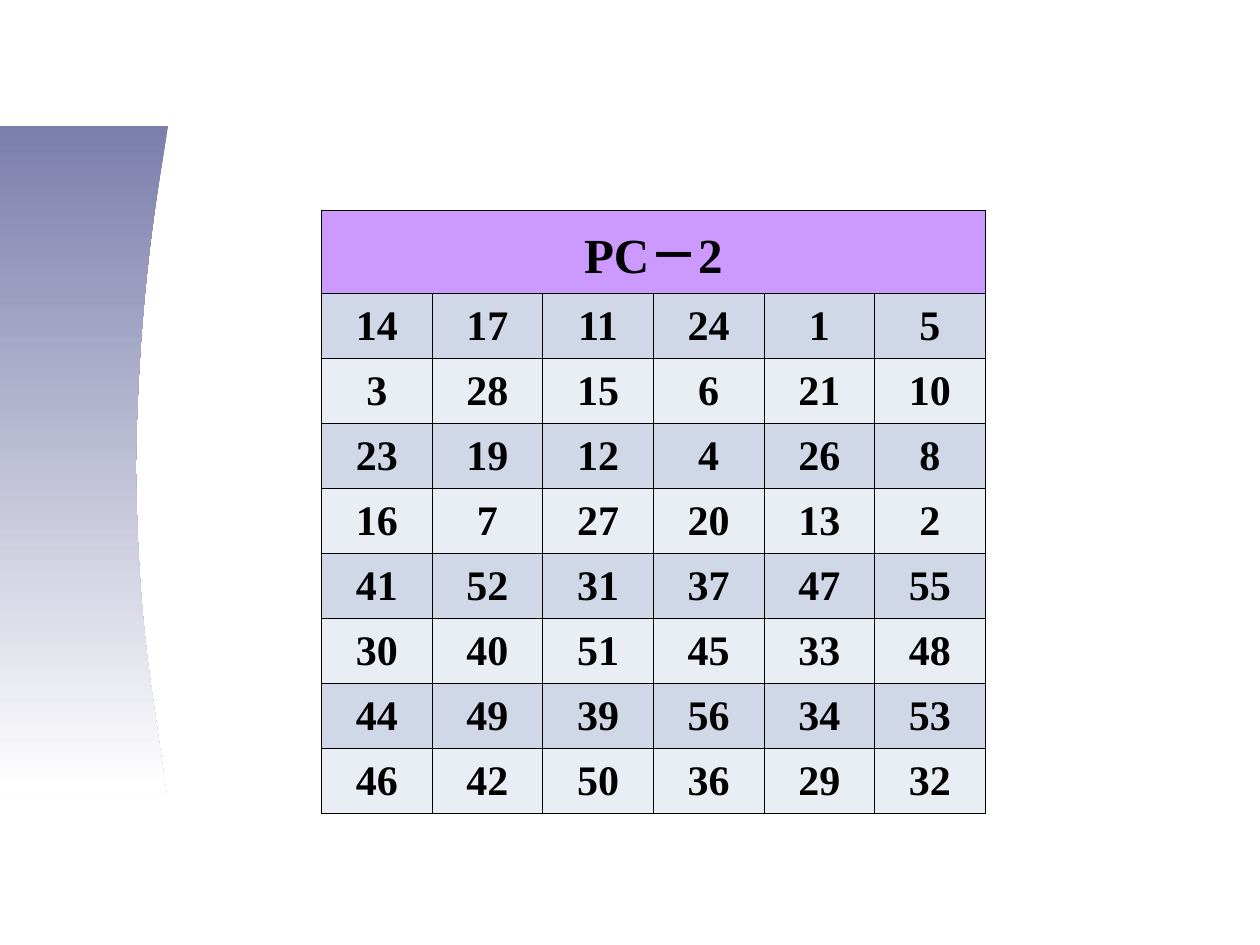
from lxml import etree
from pptx import Presentation
from pptx.dml.color import RGBColor
from pptx.enum.text import MSO_ANCHOR, PP_ALIGN
from pptx.oxml.ns import qn
from pptx.util import Cm, Pt

CENTER = PP_ALIGN.CENTER
MIDDLE = MSO_ANCHOR.MIDDLE

BLACK = RGBColor(0x00, 0x00, 0x00)
WHITE = RGBColor(0xFF, 0xFF, 0xFF)
SLATE = RGBColor(0x7C, 0x7E, 0xAC)
LILAC = RGBColor(0xCC, 0x99, 0xFF)
BAND_DARK = RGBColor(0xD0, 0xD8, 0xE8)
BAND_LIGHT = RGBColor(0xE9, 0xED, 0xF4)

TITLE = "PC－2"
PERMUTATION = [
    [14, 17, 11, 24, 1, 5],
    [3, 28, 15, 6, 21, 10],
    [23, 19, 12, 4, 26, 8],
    [16, 7, 27, 20, 13, 2],
    [41, 52, 31, 37, 47, 55],
    [30, 40, 51, 45, 33, 48],
    [44, 49, 39, 56, 34, 53],
    [46, 42, 50, 36, 29, 32],
]


def bezier(start, control1, control2, end, steps=24):
    """Points along a cubic curve, without its start."""
    points = []
    for step in range(1, steps + 1):
        t = step / steps
        weights = ((1 - t) ** 3, 3 * t * (1 - t) ** 2, 3 * t ** 2 * (1 - t), t ** 3)
        corners = (start, control1, control2, end)
        points.append(tuple(sum(w * c[axis] for w, c in zip(weights, corners))
                            for axis in (0, 1)))
    return points


class SlideBuilder:
    font = "Times New Roman"
    border_width = Pt(0.45)

    def __init__(self, page):
        self.page = page

    def gradient_outline(self, points, top_color, bottom_color):
        corners = [(Cm(x), Cm(y)) for x, y in points]
        builder = self.page.shapes.build_freeform(*corners[0])
        builder.add_line_segments(corners[1:], close=True)
        shape = builder.convert_to_shape()
        shape.shadow.inherit = False
        shape.line.fill.background()
        shape.fill.gradient()
        shape.fill.gradient_angle = 270
        for stop, color in zip(shape.fill.gradient_stops, (top_color, bottom_color)):
            stop.color.rgb = color

    def borders(self, cell):
        properties = cell._tc.get_or_add_tcPr()
        for side in ("a:lnL", "a:lnR", "a:lnT", "a:lnB"):
            line = etree.SubElement(properties, qn(side), w=str(self.border_width))
            fill = etree.SubElement(line, qn("a:solidFill"))
            etree.SubElement(fill, qn("a:srgbClr"), val=str(BLACK))

    def cell(self, cell, text, size, color):
        self.borders(cell)
        cell.fill.solid()
        cell.fill.fore_color.rgb = color
        cell.vertical_anchor = MIDDLE
        para = cell.text_frame.paragraphs[0]
        para.alignment = CENTER
        para.font.size = Pt(size)
        if not text:
            return
        span = para.add_run()
        span.text = text
        span.font.name = self.font
        span.font.size = Pt(size)
        span.font.bold = True
        span.font.color.rgb = BLACK

    def table(self, left, top, title, rows, column_width, title_height, row_height):
        count = len(rows[0])
        table = self.page.shapes.add_table(
            len(rows) + 1, count, Cm(left), Cm(top), Cm(column_width * count),
            Cm(title_height + row_height * len(rows))).table
        for column in table.columns:
            column.width = Cm(column_width)
        for row in table.rows:
            row.height = Cm(row_height)
        table.rows[0].height = Cm(title_height)

        # Title row across all columns
        for column in range(count):
            self.cell(table.cell(0, column), "" if column else title, 28, LILAC)
        table.cell(0, 0).merge(table.cell(0, count - 1))

        # Banded number rows
        for index, values in enumerate(rows):
            color = BAND_LIGHT if index % 2 else BAND_DARK
            for column, value in enumerate(values):
                self.cell(table.cell(index + 1, column), str(value), 24, color)


def main():
    deck = Presentation()
    deck.slide_width, deck.slide_height = Cm(25.4), Cm(19.05)
    builder = SlideBuilder(deck.slides.add_slide(deck.slide_layouts[6]))

    # Curved band at the left edge
    waist, top_right, bottom_right = (2.74, 9.42), (3.39, 2.54), (3.35, 15.98)
    outline = [(0, 2.54), top_right]
    outline += bezier(top_right, (3.25, 3.45), (2.79, 5.72), waist)
    outline += bezier(waist, (2.79, 12.62), (3.02, 13.51), bottom_right)
    outline.append((0, 15.98))
    builder.gradient_outline(outline, SLATE, WHITE)

    # Permutation table
    builder.table(6.48, 4.24, TITLE, PERMUTATION,
                  column_width=2.23, title_height=1.5, row_height=1.31)

    deck.save("out.pptx")


if __name__ == "__main__":
    main()
